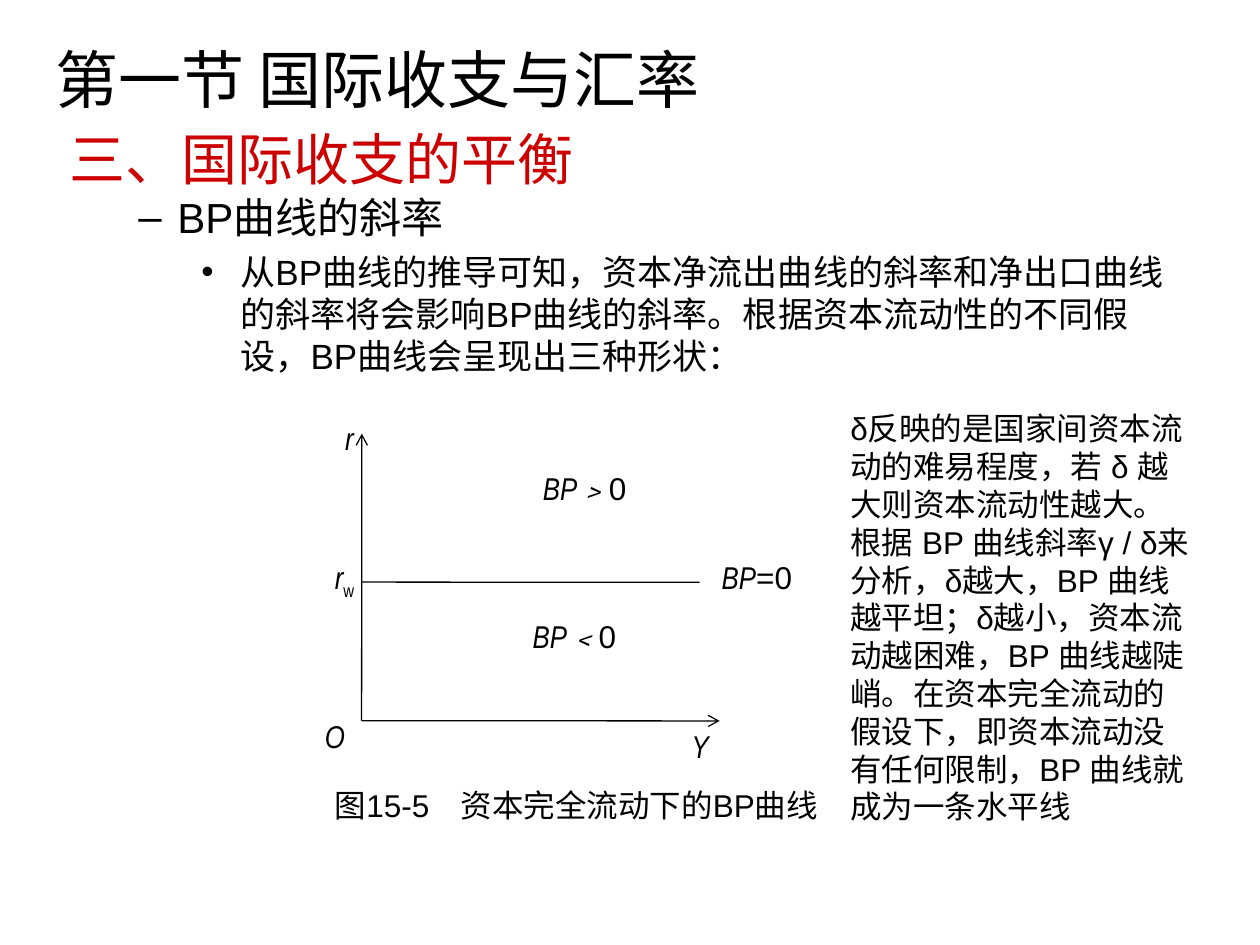
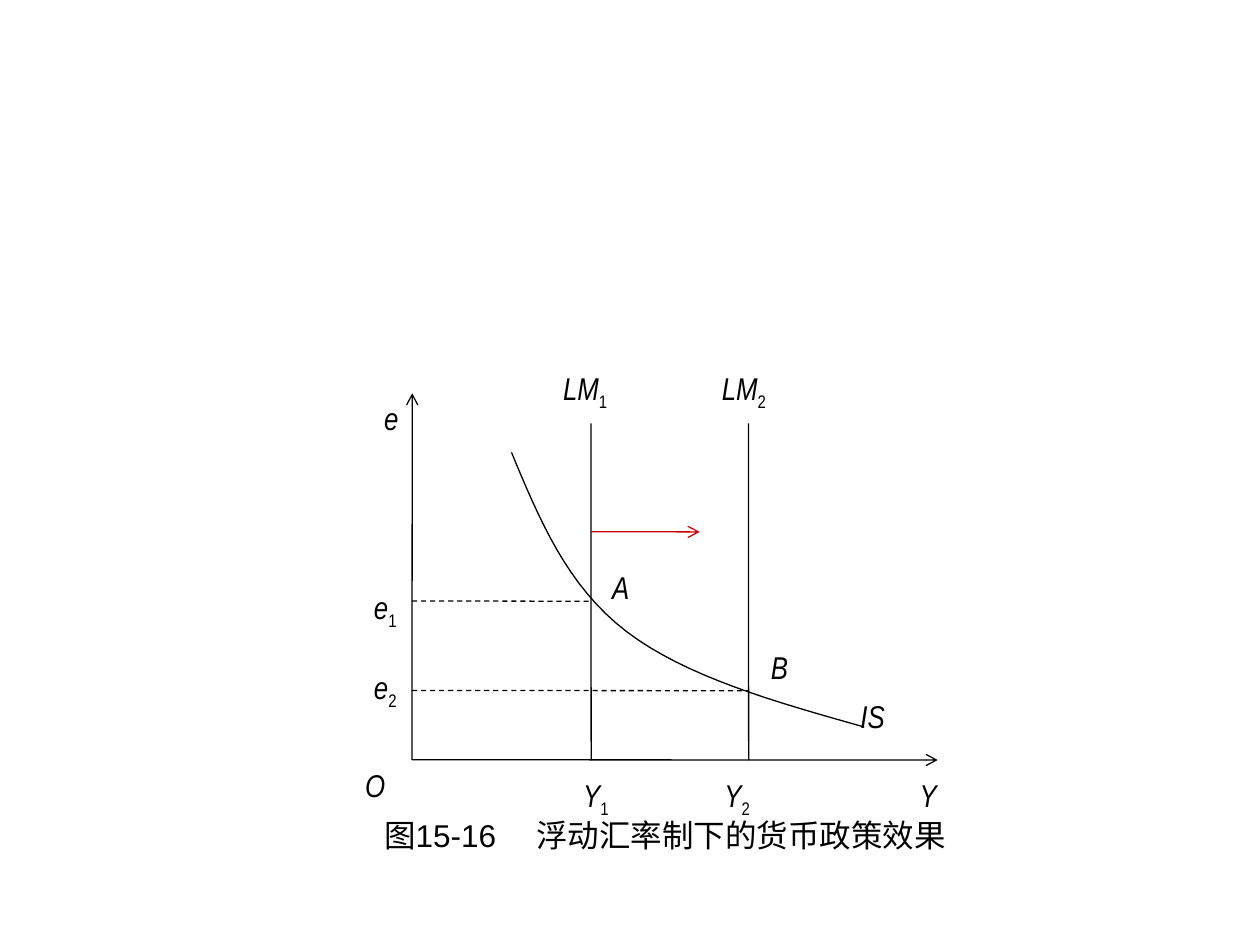
from dataclasses import dataclass

from lxml import etree
from pptx import Presentation
from pptx.dml.color import RGBColor
from pptx.enum.dml import MSO_LINE
from pptx.enum.shapes import MSO_CONNECTOR
from pptx.enum.text import MSO_ANCHOR
from pptx.oxml.ns import qn
from pptx.slide import Slide
from pptx.util import Inches, Pt

STRAIGHT = MSO_CONNECTOR.STRAIGHT
DASH = MSO_LINE.DASH
TOP = MSO_ANCHOR.TOP
MIDDLE = MSO_ANCHOR.MIDDLE

COLUMNS, ROWS = 100, 75
CELL = Inches(0.1)
BLACK, RED = "000000", "CC0000"
SANS, NARROW, HEADING = "Arial", "Arial Narrow", "Noto Sans CJK SC"
LABEL_SIZE = 18
LEADING = 1.2
SUBSCRIPT_ROOM = 3
LINE_WIDTH = 0.75
LINE_SLANT = 0.02
LABEL_HEIGHT = 4
CURVE_STEPS = 16

Point = tuple[float, float]


@dataclass(frozen=True)
class Span:
    text: str
    font: str = SANS
    size: float = LABEL_SIZE
    color: str = BLACK
    italic: bool = False
    subscript: bool = False


@dataclass(frozen=True)
class Para:
    spans: tuple[Span, ...]
    leading: float = LABEL_SIZE * LEADING
    before: float = 0
    margin: float = 0
    hanging: float = 0
    bullet: str = ""


@dataclass(frozen=True)
class Box:
    left: float
    top: float
    width: float
    height: float
    paras: tuple[Para, ...]
    anchor: MSO_ANCHOR = TOP


@dataclass(frozen=True)
class Line:
    start: Point
    end: Point
    color: str = BLACK
    arrow: bool = False
    dashed: bool = False


def grid(cells: float) -> int:
    return round(cells * CELL)


def rgb(color: str) -> RGBColor:
    return RGBColor.from_string(color)


def add_span(paragraph, span: Span) -> None:
    run = paragraph.add_run()
    run.text = span.text
    run.font.size = Pt(span.size)
    run.font.italic = span.italic
    run.font.color.rgb = rgb(span.color)
    run.font.name = span.font
    properties = run._r.get_or_add_rPr()
    etree.SubElement(properties, qn("a:ea"), typeface=span.font)
    if span.subscript:
        properties.set("baseline", "-25000")


def format_para(paragraph, para: Para) -> None:
    paragraph.line_spacing = Pt(para.leading)
    if para.before:
        paragraph.space_before = Pt(para.before)
    properties = paragraph._p.get_or_add_pPr()
    properties.set("marL", str(grid(para.margin)))
    properties.set("indent", str(grid(-para.hanging)))
    properties.set("hangingPunct", "0")
    if para.bullet:
        etree.SubElement(properties, qn("a:buFont"), typeface=SANS)
        etree.SubElement(properties, qn("a:buChar"), char=para.bullet)


def draw_box(page: Slide, box: Box) -> None:
    shape = page.shapes.add_textbox(
        grid(box.left), grid(box.top), grid(box.width), grid(box.height))
    frame = shape.text_frame
    frame.word_wrap = True
    frame.vertical_anchor = box.anchor
    for index, para in enumerate(box.paras):
        paragraph = frame.add_paragraph() if index else frame.paragraphs[0]
        format_para(paragraph, para)
        for span in para.spans:
            add_span(paragraph, span)


def draw_line(page: Slide, line: Line) -> None:
    end = tuple(place + LINE_SLANT for place in line.end)
    connector = page.shapes.add_connector(STRAIGHT, *map(grid, line.start + end))
    connector.line.color.rgb = rgb(line.color)
    connector.line.width = Pt(LINE_WIDTH)
    if line.dashed:
        connector.line.dash_style = DASH
    if line.arrow:
        etree.SubElement(connector.line._get_or_add_ln(), qn("a:tailEnd"), type="arrow")
    etree.SubElement(connector._element.spPr, qn("a:effectLst"))


def bezier(controls: tuple[Point, ...], share: float) -> Point:
    points = controls
    while len(points) > 1:
        points = tuple(
            (a[0] + (b[0] - a[0]) * share, a[1] + (b[1] - a[1]) * share)
            for a, b in zip(points, points[1:]))
    return points[0]


def draw_curve(page: Slide, controls: tuple[Point, ...]) -> None:
    points = [
        tuple(map(grid, bezier(controls[first:first + 4], step / CURVE_STEPS)))
        for first in range(0, len(controls) - 1, 3)
        for step in range(1, CURVE_STEPS + 1)]
    builder = page.shapes.build_freeform(*map(grid, controls[0]))
    builder.add_line_segments(points, close=False)
    curve = builder.convert_to_shape()
    curve.fill.background()
    curve.line.color.rgb = rgb(BLACK)
    curve.line.width = Pt(LINE_WIDTH)
    curve.shadow.inherit = False


def draw_axes(page: Slide, origin: Point, right: float, top: float) -> None:
    for end in ((right, origin[1]), (origin[0], top)):
        draw_line(page, Line(origin, end, arrow=True))


def label(left: float, top: float, width: float, symbol: str,
          subscript: str = "", upright: str = "") -> Box:
    spans = [Span(symbol, NARROW, italic=True)]
    leading = LABEL_SIZE * LEADING
    if subscript:
        spans.append(Span(subscript, NARROW, subscript=True))
        leading += SUBSCRIPT_ROOM
    if upright:
        spans.append(Span(upright))
    return Box(left, top, width, LABEL_HEIGHT, (Para(tuple(spans), leading),))


def caption(left: float, top: float, width: float, text: str) -> Box:
    return Box(left, top, width, 7, (Para((Span(text),)),))


def heading() -> Box:
    return Box(3.4, 4.4, 90, 9.4, (
        Para((Span("第一节 国际收支与汇率", HEADING, 36),), leading=45),
        Para((Span("三、国际收支的平衡", HEADING, 32, RED),), leading=43, margin=1.1),
    ), MIDDLE)


def body() -> Box:
    explanation = (
        "从BP曲线的推导可知，资本净流出曲线的斜率和净出口曲线的斜率将会影响BP曲线的斜率。"
        "根据资本流动性的不同假设，BP曲线会呈现出三种形状：")
    return Box(5, 14.7, 90, 52.3, (
        Para((Span("BP曲线的斜率", size=24),), leading=24 * LEADING,
             margin=8.1, hanging=3.1, bullet="–"),
        Para((Span(explanation, size=20),), leading=20 * LEADING, before=5,
             margin=13.1, hanging=3.1, bullet="•"),
    ))


def mobility_note() -> Box:
    text = (
        "δ反映的是国家间资本流动的难易程度，若 δ 越大则资本流动性越大。 "
        "根据 BP 曲线斜率γ / δ来分析，δ越大，BP 曲线越平坦；δ越小，资本流动越困难，"
        "BP 曲线越陡峭。在资本完全流动的假设下，即资本流动没有任何限制，"
        "BP 曲线就成为一条水平线")
    return Box(66.5, 32, 29.1, 37, (Para((Span(text),)),))


def build_slope_page(page: Slide) -> None:
    origin = (28.7, 57.2)
    world_rate = 46.2
    draw_axes(page, origin, 57.1, 34.4)
    draw_line(page, Line((origin[0], world_rate), (55.5, world_rate)))
    for box in (
        label(53.9, 57.2, 6.3, "Y"),
        label(24.8, 56.4, 8.6, "O"),
        label(26.4, 32.8, 7.9, "r"),
        label(25.6, 43.8, 6.3, "r", subscript="w"),
        label(56.3, 43.8, 9.4, "BP", upright="=0"),
        label(42.1, 36.7, 9.5, "BP﹥", upright="0"),
        label(41.3, 48.5, 8.7, "BP﹤", upright="0"),
        caption(25.6, 61.9, 41.7, "图15-5　资本完全流动下的BP曲线"),
        mobility_note(),
        body(),
        heading(),
    ):
        draw_box(page, box)


def build_policy_page(page: Slide) -> None:
    origin = (32.7, 60.3)
    draw_axes(page, origin, 74.4, 31.2)
    for output, rate in ((46.9, 47.7), (59.4, 54.8)):
        draw_line(page, Line((output, 33.6), (output, origin[1])))
        draw_line(page, Line((origin[0], rate), (output, rate), dashed=True))
    draw_curve(page, (
        (40.6, 35.9), (42.8, 41.2), (45, 46.5), (49.7, 50.1),
        (54.4, 53.7), (61.5, 55.7), (68.6, 57.7)))
    draw_line(page, Line((46.9, 42.2), (55.5, 42.2), RED, arrow=True))
    for box in (
        label(28, 60.3, 7.9, "O"),
        label(72, 61.1, 5.5, "Y"),
        label(29.5, 31.2, 3.1, "e"),
        label(28.7, 46.2, 4.7, "e", subscript="1"),
        label(28.7, 52.5, 4.7, "e", subscript="2"),
        label(67.3, 54.8, 5.5, "IS"),
        label(43.7, 28.8, 7.9, "LM", subscript="1"),
        label(56.3, 28.8, 7.9, "LM", subscript="2"),
        label(45.3, 61.1, 5.5, "Y", subscript="1"),
        label(56.5, 61.1, 5.5, "Y", subscript="2"),
        label(47.6, 44.6, 3.9, "A"),
        label(60.2, 50.9, 3.9, "B"),
        caption(29.5, 64.3, 48, "图15-16　 浮动汇率制下的货币政策效果"),
    ):
        draw_box(page, box)


def main() -> None:
    deck = Presentation()
    deck.slide_width = grid(COLUMNS)
    deck.slide_height = grid(ROWS)
    blank = deck.slide_layouts[6]
    for build in (build_slope_page, build_policy_page):
        build(deck.slides.add_slide(blank))
    deck.save("out.pptx")


if __name__ == "__main__":
    main()
